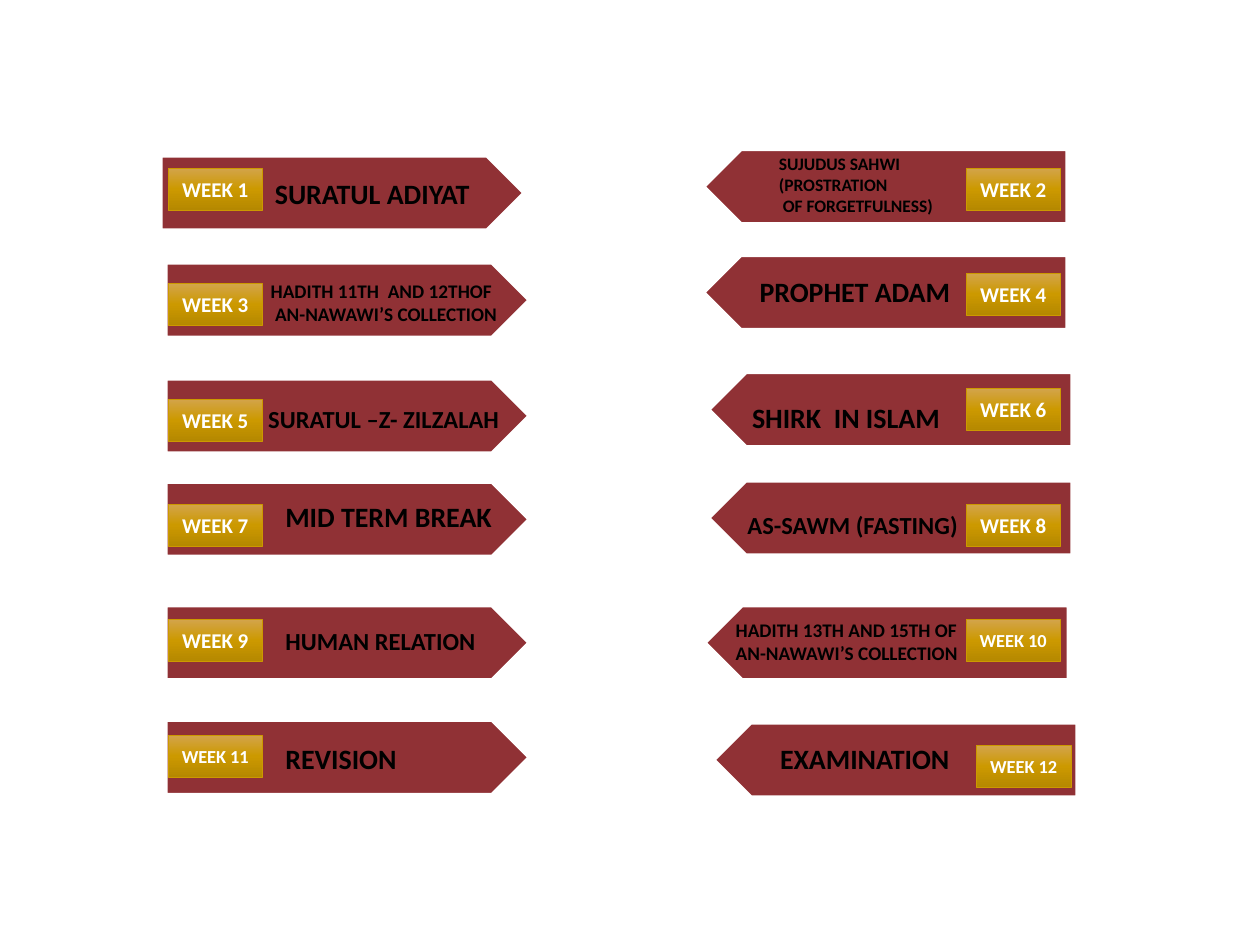
from copy import deepcopy

from pptx import Presentation
from pptx.dml.color import RGBColor
from pptx.enum.shapes import MSO_SHAPE as Kind
from pptx.enum.text import MSO_ANCHOR as Anchor, MSO_AUTO_SIZE as Fit, PP_ALIGN as Align
from pptx.oxml.ns import qn
from pptx.util import Inches, Pt

CELL = Inches(1) / 12  # the slide is a grid of 120 columns and 90 rows
GOLD = ["D3A44B", "CC9900", "B58800"]

# flag (col, row), badge (col, row), topic (col, row, width), size, lines
WEEKS = [
    ((15.36, 14.88), (16, 16), (25, 16.2, 21.24), 16, ["SURATUL ADIYAT"]),
    ((67.08, 14.28), (92, 16), (73, 14, 17.28), 10,
     ["SUJUDUS SAHWI", "(PROSTRATION", " OF FORGETFULNESS)"]),
    ((15.84, 25.08), (16, 27), (24.6, 26, 24.48), 11,
     ["HADITH 11TH  AND 12THOF", " AN-NAWAWI’S COLLECTION"]),
    ((67.08, 24.36), (92, 26), (71.16, 25.56, 20.88), 16, ["PROPHET ADAM"]),
    ((15.84, 36.12), (16, 38), (24.36, 37.92, 24.6), 14, ["SURATUL –Z- ZILZALAH"]),
    ((67.56, 35.52), (92, 37), (70.44, 37.56, 20.52), 16, ["SHIRK  IN ISLAM"]),
    ((15.84, 45.96), (16, 48), (26, 47, 22.32), 16, ["MID TERM BREAK"]),
    ((67.56, 45.84), (92, 48), (70, 48, 22.56), 14, ["AS-SAWM (FASTING)"]),
    ((15.84, 57.72), (16, 59), (26, 59, 20.64), 14, ["HUMAN RELATION"]),
    ((67.2, 57.72), (92, 59), (68.88, 58.32, 24.12), 11,
     ["HADITH 13TH AND 15TH OF", "AN-NAWAWI’S COLLECTION"]),
    ((15.84, 68.64), (16, 70), (26, 70, 13.2), 16, ["REVISION"]),
    ((68.04, 68.88), (93, 71), (73, 70, 18.72), 16, ["EXAMINATION"]),
]


def tint(color, code):
    color.rgb = RGBColor.from_string(code)


def grid(*cells):
    """Turn grid cells into slide lengths."""
    return [round(n * CELL) for n in cells]


def write(frame, lines, size, code, align):
    frame.text = "\n".join(lines)
    for para in frame.paragraphs:
        para.alignment = align
        for run in para.runs:
            font = run.font
            font.name, font.size, font.bold = "Calibri", Pt(size), True
            tint(font.color, code)


def edge(shape, code, width):
    tint(shape.line.color, code)
    shape.line.width = Pt(width)
    shape.shadow.inherit = False


def add_flag(slide, col, row, left):
    flag = slide.shapes.add_shape(Kind.PENTAGON, *grid(col, row, 34.5, 7))
    flag.fill.solid()
    tint(flag.fill.fore_color, "903135")
    edge(flag, "FFFFFF", 1.5)
    if left:
        flag.element.spPr.find(qn("a:xfrm")).set("flipH", "1")


def add_badge(slide, col, row, week):
    badge = slide.shapes.add_shape(Kind.RECTANGLE, *grid(col, row, 9, 4))
    fill = badge.fill
    fill.gradient()
    fill.gradient_angle = 270
    stops = badge.element.spPr.find(".//" + qn("a:gsLst"))
    stops.insert(1, deepcopy(stops[0]))
    for n, (stop, code) in enumerate(zip(fill.gradient_stops, GOLD)):
        stop.position = n / 2
        tint(stop.color, code)
    edge(badge, GOLD[1], 0.5)
    frame = badge.text_frame
    frame.vertical_anchor = Anchor.MIDDLE
    size = 12 if week < 10 else 10.5
    write(frame, [f"WEEK {week}"], size, "FFFFFF", Align.CENTER)


def add_topic(slide, col, row, width, size, lines, align):
    high = len(lines) * size * 0.2 + 1.2
    frame = slide.shapes.add_textbox(*grid(col, row, width, high)).text_frame
    frame.word_wrap = False
    frame.auto_size = Fit.SHAPE_TO_FIT_TEXT
    write(frame, lines, size, "000000", align)


def main():
    deck = Presentation()
    deck.slide_width, deck.slide_height = grid(120, 90)
    slide = deck.slides.add_slide(deck.slide_layouts[6])
    for week, (flag, badge, topic, size, lines) in enumerate(WEEKS, 1):
        add_flag(slide, *flag, left=week % 2 == 0)
        add_badge(slide, *badge, week)
        align = Align.CENTER if week == len(WEEKS) else Align.LEFT
        add_topic(slide, *topic, size, lines, align)
    deck.save("out.pptx")


if __name__ == "__main__":
    main()
